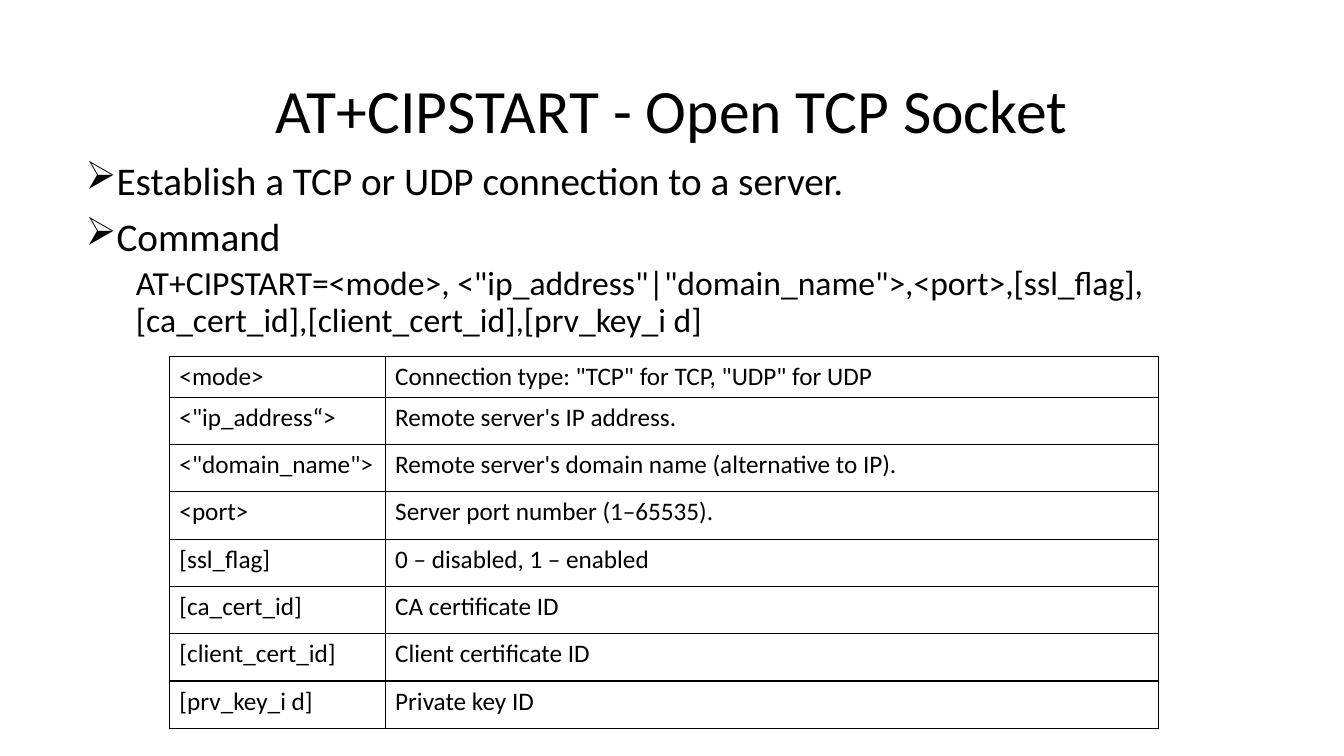
from dataclasses import dataclass

from lxml.etree import SubElement
from pptx import Presentation
from pptx.dml.color import RGBColor
from pptx.enum.text import MSO_ANCHOR, PP_ALIGN
from pptx.oxml.ns import qn
from pptx.slide import Slide
from pptx.table import _Cell
from pptx.text.text import TextFrame, _Paragraph
from pptx.util import Pt


@dataclass(frozen=True)
class Theme:
    font: str = "Calibri"
    ink: str = "000000"
    paper: str = "FFFFFF"
    title: int = 44
    bullet: int = 28
    syntax: int = 24
    cell: int = 18
    line_spacing: float = 0.9
    border: float = 1


@dataclass(frozen=True)
class Area:
    left: float
    top: float
    width: float
    height: float


@dataclass(frozen=True)
class Line:
    text: str
    size: int
    space_before: float = 0
    margin: float = 0
    indent: float = 0
    bullet: str = ""
    align: PP_ALIGN = PP_ALIGN.LEFT


@dataclass(frozen=True)
class Parameter:
    name: str
    meaning: str


THEME = Theme()
TITLE_AREA = Area(66, 28.8, 828, 104.4)
BODY_AREA = Area(54, 111.6, 840, 428.4)
TABLE_AREA = Area(121, 254.9, 706.3, 265.7)
COLUMN_WIDTHS = (154.1, 552.2)
FIRST_ROW_HEIGHT = 19.4
ROW_HEIGHT = 33.8

TITLE = Line("AT+CIPSTART - Open TCP Socket", THEME.title, align=PP_ALIGN.CENTER)
BODY = [
    *(
        Line(text, THEME.bullet, 10, 18, -18, "➢")
        for text in ("Establish a TCP or UDP connection to a server.", "Command")
    ),
    Line(
        'AT+CIPSTART=<mode>, <"ip_address"|"domain_name">,<port>,[ssl_flag], '
        "[ca_cert_id],[client_cert_id],[prv_key_i d]",
        THEME.syntax, 5, 36,
    ),
]
PARAMETERS = [
    Parameter("<mode>", 'Connection type: "TCP" for TCP, "UDP" for UDP'),
    Parameter('<"ip_address“>', "Remote server's IP address."),
    Parameter('<"domain_name">', "Remote server's domain name (alternative to IP)."),
    Parameter("<port>", "Server port number (1–65535)."),
    Parameter("[ssl_flag]", "0 – disabled, 1 – enabled"),
    Parameter("[ca_cert_id]", "CA certificate ID"),
    Parameter("[client_cert_id]", "Client certificate ID"),
    Parameter("[prv_key_i d]", "Private key ID"),
]


def add_span(para: _Paragraph, text: str, size: int) -> None:
    span = para.add_run()
    span.text = text
    span.font.name = THEME.font
    span.font.size = Pt(size)
    span.font.color.rgb = RGBColor.from_string(THEME.ink)


def write_line(para: _Paragraph, line: Line) -> None:
    para.alignment = line.align
    para.line_spacing = THEME.line_spacing
    para.space_before = Pt(line.space_before)
    properties = para._p.get_or_add_pPr()
    properties.set("marL", str(Pt(line.margin)))
    properties.set("indent", str(Pt(line.indent)))
    if line.bullet:
        SubElement(properties, qn("a:buChar"), char=line.bullet)
    add_span(para, line.text, line.size)


def add_text(page: Slide, area: Area, lines: list[Line], anchor: MSO_ANCHOR) -> None:
    box = page.shapes.add_textbox(
        Pt(area.left), Pt(area.top), Pt(area.width), Pt(area.height)
    )
    frame: TextFrame = box.text_frame
    frame.word_wrap = True
    frame.vertical_anchor = anchor
    for index, line in enumerate(lines):
        para = frame.add_paragraph() if index else frame.paragraphs[0]
        write_line(para, line)


def write_cell(cell: _Cell, text: str) -> None:
    properties = cell._tc.get_or_add_tcPr()
    for side in ("a:lnL", "a:lnR", "a:lnT", "a:lnB"):
        border = SubElement(properties, qn(side), w=str(Pt(THEME.border)))
        fill = SubElement(border, qn("a:solidFill"))
        SubElement(fill, qn("a:srgbClr"), val=THEME.ink)
    cell.fill.background()
    add_span(cell.text_frame.paragraphs[0], text, THEME.cell)


def add_parameters(page: Slide, area: Area, parameters: list[Parameter]) -> None:
    holder = page.shapes.add_table(
        len(parameters), len(COLUMN_WIDTHS),
        Pt(area.left), Pt(area.top), Pt(area.width), Pt(area.height),
    )
    table = holder.table
    table.first_row = False
    table.horz_banding = False
    for column, width in zip(table.columns, COLUMN_WIDTHS):
        column.width = Pt(width)
    for index, parameter in enumerate(parameters):
        table.rows[index].height = Pt(ROW_HEIGHT if index else FIRST_ROW_HEIGHT)
        write_cell(table.cell(index, 0), parameter.name)
        write_cell(table.cell(index, 1), parameter.meaning)
    holder.height = Pt(area.height)


def main() -> None:
    deck = Presentation()
    deck.slide_width = Pt(960)
    deck.slide_height = Pt(540)
    page = deck.slides.add_slide(deck.slide_layouts[6])
    page.background.fill.solid()
    page.background.fill.fore_color.rgb = RGBColor.from_string(THEME.paper)
    add_text(page, TITLE_AREA, [TITLE], MSO_ANCHOR.MIDDLE)
    add_text(page, BODY_AREA, BODY, MSO_ANCHOR.TOP)
    add_parameters(page, TABLE_AREA, PARAMETERS)
    deck.save("out.pptx")


if __name__ == "__main__":
    main()
